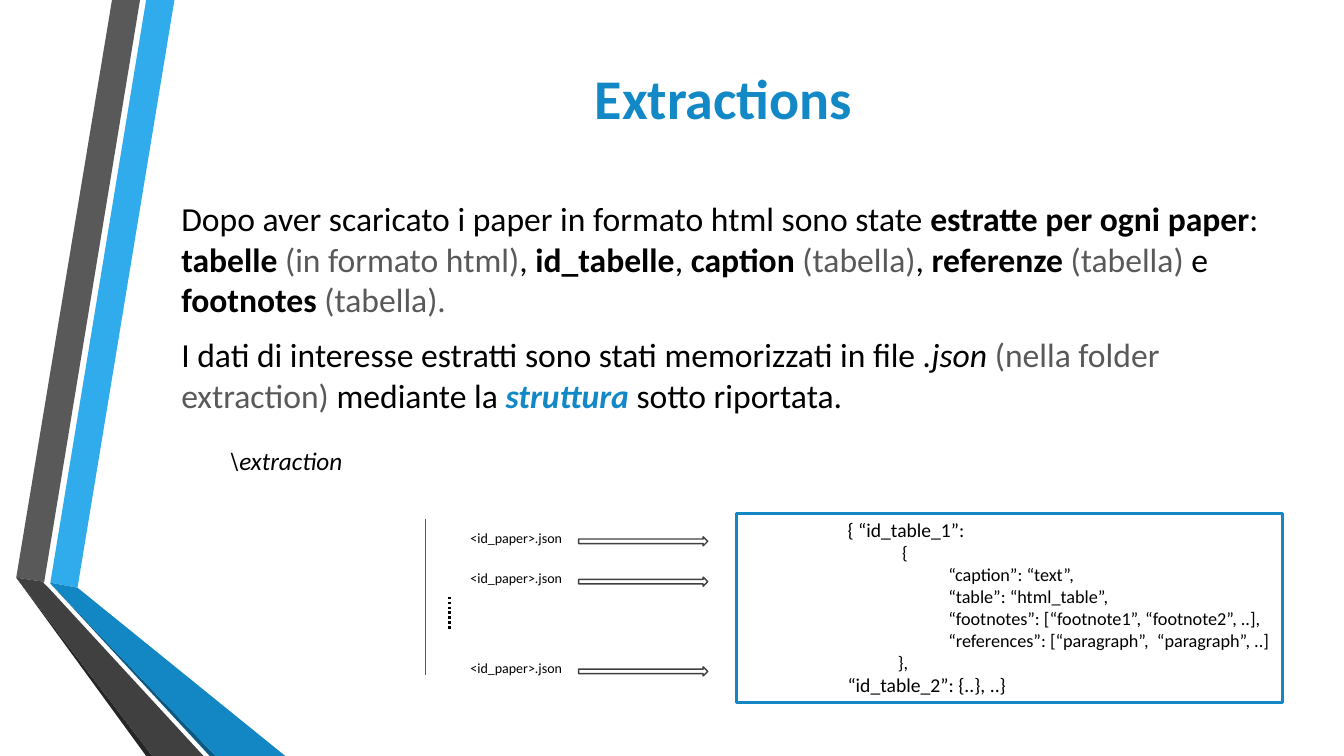
from dataclasses import dataclass
from typing import Any

from lxml import etree
from pptx import Presentation
from pptx import util as u
from pptx.dml.color import RGBColor
from pptx.enum import dml, shapes, text
from pptx.oxml import ns

BLACK = RGBColor(0x00, 0x00, 0x00)
GRAY = RGBColor(0x59, 0x59, 0x59)
DARK_GRAY = RGBColor(0x40, 0x40, 0x40)
SHADOW_GRAY = RGBColor(0x26, 0x26, 0x26)
SKY = RGBColor(0x30, 0xAC, 0xEC)
BLUE = RGBColor(0x12, 0x87, 0xC3)
TITLE_BLUE = RGBColor(0x12, 0x89, 0xC6)
NAVY = RGBColor(0x0C, 0x5A, 0x82)

RIBBONS = [
    (SKY, [(36, 416.2), (55.4, 419.8), (124.6, 0), (104.4, 0)]),
    (GRAY, [(100, 0), (80, 0), (11.6, 412.6), (31.6, 415.6)]),
    (SHADOW_GRAY, [(11.6, 412.6), (104.4, 540), (108.8, 540)]),
    (NAVY, [(36, 416.8), (149.8, 540), (154, 540)]),
    (BLUE, [(36, 416.8), (154, 540), (203.8, 540), (55.4, 419.8), (36, 416.2)]),
    (DARK_GRAY, [(145.4, 540), (34.6, 419.8), (31, 416.2), (31.6, 415.6),
                 (11.6, 412.6), (108.8, 540)]),
]

BODY = [
    [("Dopo aver scaricato i paper in formato html sono state ", ""),
     ("estratte per ogni paper", "b"), (": ", ""), ("tabelle ", "b"),
     ("(in formato html)", "g"), (", ", ""), ("id_tabelle", "b"), (", ", ""),
     ("caption ", "b"), ("(tabella)", "g"), (", ", ""), ("referenze ", "b"),
     ("(tabella)", "g"), (" e ", ""), ("footnotes ", "b"), ("(tabella).", "g")],
    [("I dati di interesse estratti sono stati memorizzati in file ", ""),
     (".json ", "i"), ("(nella folder extraction) ", "g"), ("mediante la ", ""),
     ("struttura ", "bit"), ("sotto riportata.", "")],
]

JSON_LINES = [
    ("{ “id_table_1”:", 72, 14),
    ("{", 111, 13),
    ("“caption”: “text”,", 144, 13),
    ("“table”: “html_table”,", 144, 13),
    ("“footnotes”: [“footnote1”, “footnote2”, ..],", 144, 13),
    ("“references”: [“paragraph”,  “paragraph”, ..]", 144, 13),
    ("},", 108, 13),
    ("“id_table_2”: {..}, ..}", 72, 14),
]

FILE_ROWS = [374.4, 403.2, 467.3]


@dataclass
class SlideBuilder:
    slide: Any
    font_name: str = "Calibri"

    def style(self, paragraph, size, color=BLACK, bold=None, italic=None):
        font = paragraph.font
        font.name, font.size = self.font_name, u.Pt(size)
        font.bold, font.italic = bold, italic
        font.color.rgb = color

    def ribbon(self, color, points):
        corners = [(u.Pt(x), u.Pt(y)) for x, y in points]
        builder = self.slide.shapes.build_freeform(*corners[0])
        builder.add_line_segments(corners[1:], close=True)
        shape = builder.convert_to_shape()
        shape.shadow.inherit = False
        shape.fill.solid()
        shape.fill.fore_color.rgb = color
        shape.line.fill.background()

    def text_box(self, left, top, width, height, anchor=text.MSO_ANCHOR.TOP):
        box = self.slide.shapes.add_textbox(*map(u.Pt, (left, top, width, height)))
        box.text_frame.word_wrap = True
        box.text_frame.vertical_anchor = anchor
        return box.text_frame

    def label(self, words, left, top, width, height, size, italic=None):
        paragraph = self.text_box(left, top, width, height).paragraphs[0]
        paragraph.text = words
        self.style(paragraph, size, italic=italic)

    def title(self, words, left, top, width, height):
        frame = self.text_box(left, top, width, height, text.MSO_ANCHOR.MIDDLE)
        paragraph = frame.paragraphs[0]
        paragraph.text = words
        paragraph.alignment = text.PP_ALIGN.CENTER
        self.style(paragraph, 40, TITLE_BLUE, bold=True)

    def body(self, paragraphs, left, top, width, height):
        frame = self.text_box(left, top, width, height, text.MSO_ANCHOR.MIDDLE)
        for index, runs in enumerate(paragraphs):
            paragraph = frame.add_paragraph() if index else frame.paragraphs[0]
            paragraph.space_before = u.Pt(4.8 if index else 0)
            paragraph.space_after = u.Pt(6)
            self.style(paragraph, 24)
            for words, marks in runs:
                run = paragraph.add_run()
                run.text = words
                run.font.bold = "b" in marks
                run.font.italic = "i" in marks
                run.font.color.rgb = (
                    GRAY if "g" in marks else TITLE_BLUE if "t" in marks else BLACK)

    def line(self, x, top, bottom, color, width, dash=None):
        connector = self.slide.shapes.add_connector(
            shapes.MSO_CONNECTOR.STRAIGHT, *map(u.Pt, (x, top, x, bottom)))
        connector.line.color.rgb = color
        connector.line.width = u.Pt(width)
        if dash:
            connector.line.dash_style = dash
        properties = connector._element.spPr
        etree.SubElement(properties, ns.qn("a:effectLst"))

    def outline(self, kind, left, top, width, height, color, line_width):
        shape = self.slide.shapes.add_shape(
            kind, *map(u.Pt, (left, top, width, height)))
        shape.shadow.inherit = False
        shape.fill.background()
        shape.line.color.rgb = color
        shape.line.width = u.Pt(line_width)
        return shape

    def arrow(self, left, top, width, height):
        self.outline(shapes.MSO_SHAPE.RIGHT_ARROW, left, top, width, height,
                     DARK_GRAY, 1)

    def code_box(self, lines, left, top, width, height):
        frame = self.outline(shapes.MSO_SHAPE.RECTANGLE, left, top, width, height,
                             BLUE, 2.25).text_frame
        frame.word_wrap = True
        frame.vertical_anchor = text.MSO_ANCHOR.TOP
        for index, (words, indent, size) in enumerate(lines):
            paragraph = frame.add_paragraph() if index else frame.paragraphs[0]
            paragraph.text = words
            paragraph.alignment = text.PP_ALIGN.LEFT
            properties = paragraph._p.get_or_add_pPr()
            properties.set("marL", str(u.Pt(indent)))
            properties.set("indent", "0")
            self.style(paragraph, size)


def main():
    presentation = Presentation()
    presentation.slide_width, presentation.slide_height = u.Pt(960), u.Pt(540)
    builder = SlideBuilder(presentation.slides.add_slide(presentation.slide_layouts[6]))

    for color, points in RIBBONS:
        builder.ribbon(color, points)
    builder.title("Extractions", 122.4, 0, 789, 138.2)
    builder.body(BODY, 122.4, 95.8, 798.5, 246.2)

    builder.line(303.8, 370.8, 482.4, GRAY, 1)
    builder.line(321.1, 426.2, 450, BLACK, 1.75, dml.MSO_LINE.ROUND_DOT)
    builder.label("\\extraction", 157, 314.6, 99.4, 28.8, 18, italic=True)
    for top in FILE_ROWS:
        builder.label("<id_paper>.json", 329, top, 84.2, 19.4, 10)
        builder.arrow(413.3, top + 9, 92.2, 6.5)
    builder.code_box(JSON_LINES, 526.3, 366.5, 389.5, 135.4)

    presentation.save("out.pptx")


if __name__ == "__main__":
    main()
